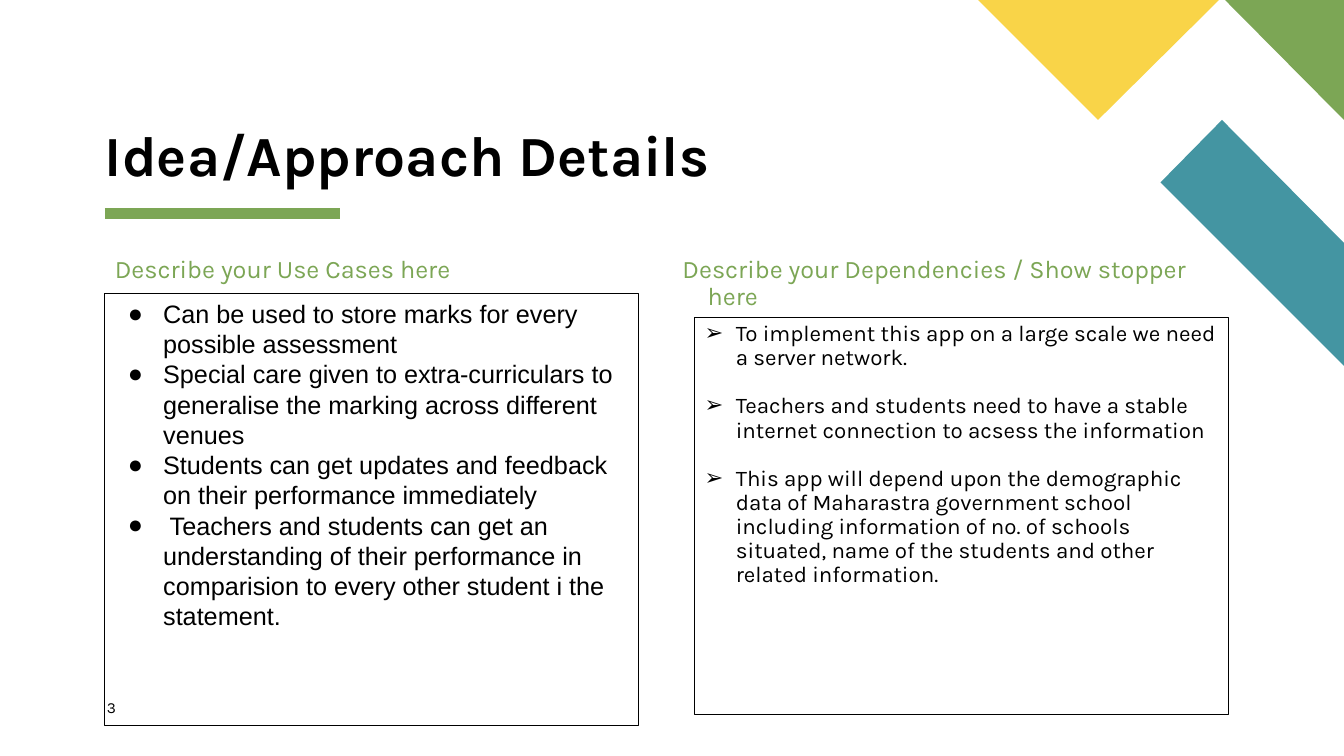
from typing import NamedTuple, Optional

from lxml import etree
from pptx import Presentation
from pptx.dml.color import RGBColor
from pptx.enum.shapes import MSO_CONNECTOR, MSO_SHAPE
from pptx.enum.text import MSO_ANCHOR, MSO_AUTO_SIZE, PP_ALIGN
from pptx.oxml.ns import qn
from pptx.util import Inches, Pt

COLORS = {"green": "7CA655", "teal": "4495A2", "yellow": "F9D448", "black": "000000"}


class Ribbon(NamedTuple):
    color: str
    points: list


class TextStyle(NamedTuple):
    size: float
    font: str = "Karla"
    color: str = "black"
    bold: bool = False
    line_spacing: float = 0.9
    space_after: float = 0
    margin: float = 0
    hanging: float = 0
    bullet: Optional[str] = None


class Block(NamedTuple):
    box: tuple
    style: TextStyle
    lines: list
    inset: tuple = (0.1, 0.05)
    framed: bool = False


HEADING = TextStyle(18, color="green", margin=0.25, hanging=0.25)
USE_CASE = TextStyle(18, "Arial", line_spacing=1.0, margin=0.48, hanging=0.35, bullet="●")
DEPENDENCY = TextStyle(16, space_after=17, margin=0.31, hanging=0.31, bullet="➢")
TITLE = TextStyle(40.5, bold=True)
NUMBER = TextStyle(11, line_spacing=1.0)

RIBBONS = [
    Ribbon("teal", [(13.33, 3.63), (13.33, 2.41), (12.12, 1.19), (11.51, 1.81)]),
    Ribbon("green", [(13.33, 1.19), (13.33, 0), (12.15, 0)]),
    Ribbon("yellow", [(9.7, 0), (10.89, 1.19), (12.09, 0)]),
]

BLOCKS = [
    Block((1.04, 2.5, 5.29, 0.34), HEADING, ["Describe your Use Cases here"]),
    Block((1.04, 2.91, 5.29, 4.29), USE_CASE, [
        "Can be used to store marks for every possible assessment",
        "Special care given to extra-curriculars to generalise the marking across different venues",
        "Students can get updates and feedback on their performance immediately",
        " Teachers and students can get an understanding of their performance in "
        "comparision to every other student i the statement.",
    ], framed=True),
    Block((1.06, 6.93, 0.57, 0.27), NUMBER, ["3"], inset=(0, 0)),
    Block((6.67, 2.5, 5.62, 0.34), HEADING, ["Describe your Dependencies / Show stopper here"]),
    Block((6.89, 3.15, 5.29, 3.94), DEPENDENCY, [
        "To implement this app on a large scale we need a server network.",
        "Teachers and students need to have a stable internet connection to acsess the information",
        "This app will depend upon the demographic data of Maharastra government school "
        "including information of no. of schools situated, name of the students and other "
        "related information.",
    ], framed=True),
]


def rgb(name: str) -> RGBColor:
    return RGBColor.from_string(COLORS[name])


def write_text(tf, lines: list, style: TextStyle, inset: tuple, anchor=MSO_ANCHOR.TOP) -> None:
    tf.word_wrap = True
    tf.auto_size = MSO_AUTO_SIZE.NONE
    tf.vertical_anchor = anchor
    tf.margin_left = tf.margin_right = Inches(inset[0])
    tf.margin_top = tf.margin_bottom = Inches(inset[1])
    for i, line in enumerate(lines):
        p = tf.add_paragraph() if i else tf.paragraphs[0]
        p.text = line
        p.alignment = PP_ALIGN.LEFT
        p.line_spacing = style.line_spacing
        p.space_before = Pt(0)
        p.space_after = Pt(style.space_after)
        p.font.size = Pt(style.size)
        p.font.name = style.font
        p.font.bold = style.bold
        p.font.color.rgb = rgb(style.color)
        pPr = p._p.get_or_add_pPr()
        pPr.set("marL", str(Inches(style.margin)))
        pPr.set("indent", str(-Inches(style.hanging)))
        if style.bullet:
            defaults = pPr.find(qn("a:defRPr"))
            defaults.addprevious(etree.Element(qn("a:buFont"), typeface="Arial"))
            defaults.addprevious(etree.Element(qn("a:buChar"), char=style.bullet))


def add_ribbon(slide, ribbon: Ribbon) -> None:
    start, *rest = [(Inches(x), Inches(y)) for x, y in ribbon.points]
    builder = slide.shapes.build_freeform(*start)
    builder.add_line_segments(rest, close=True)
    sp = builder.convert_to_shape()
    sp.shadow.inherit = False
    sp.fill.solid()
    sp.fill.fore_color.rgb = rgb(ribbon.color)
    sp.line.fill.background()


def add_block(slide, block: Block) -> None:
    box = [Inches(v) for v in block.box]
    if block.framed:
        sp = slide.shapes.add_shape(MSO_SHAPE.RECTANGLE, *box)
        sp.shadow.inherit = False
        sp.fill.background()
        sp.line.color.rgb = rgb("black")
        sp.line.width = Pt(0.75)
    else:
        sp = slide.shapes.add_textbox(*box)
    write_text(sp.text_frame, block.lines, block.style, block.inset)


def add_title(slide, text: str) -> None:
    title = slide.shapes.title
    title.left, title.top = Inches(1.04), Inches(1.2)
    title.width, title.height = Inches(6.32), Inches(0.67)
    write_text(title.text_frame, [text], TITLE, (0, 0), MSO_ANCHOR.BOTTOM)


def add_underline(slide) -> None:
    y = Inches(2.12)
    line = slide.shapes.add_connector(MSO_CONNECTOR.STRAIGHT, Inches(1.04), y, Inches(3.37), y)
    line.line.color.rgb = rgb("green")
    line.line.width = Pt(8)
    etree.SubElement(line._element.spPr, qn("a:effectLst"))


prs = Presentation()
prs.slide_width, prs.slide_height = Inches(13.33), Inches(7.5)
slide = prs.slides.add_slide(prs.slide_layouts[5])
add_underline(slide)
for ribbon in RIBBONS:
    add_ribbon(slide, ribbon)
add_title(slide, "Idea/Approach Details")
for block in BLOCKS:
    add_block(slide, block)
prs.save("out.pptx")
